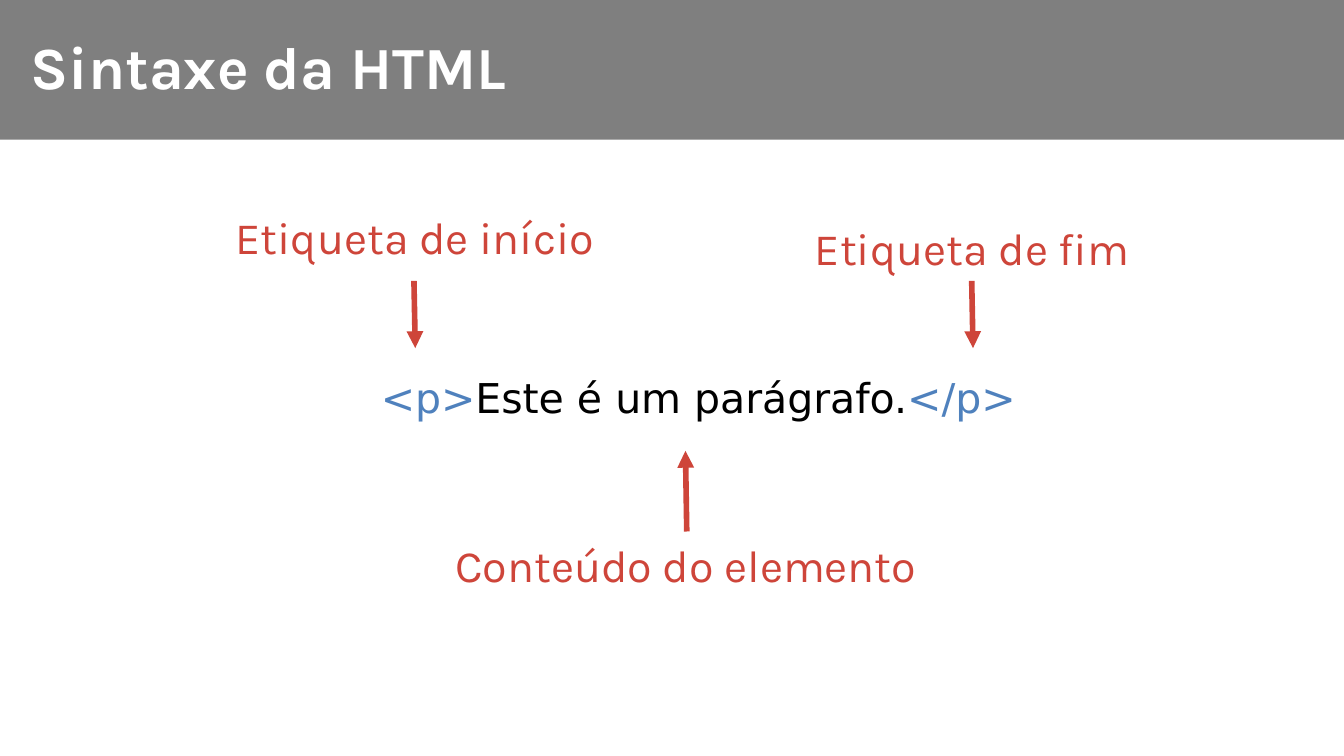
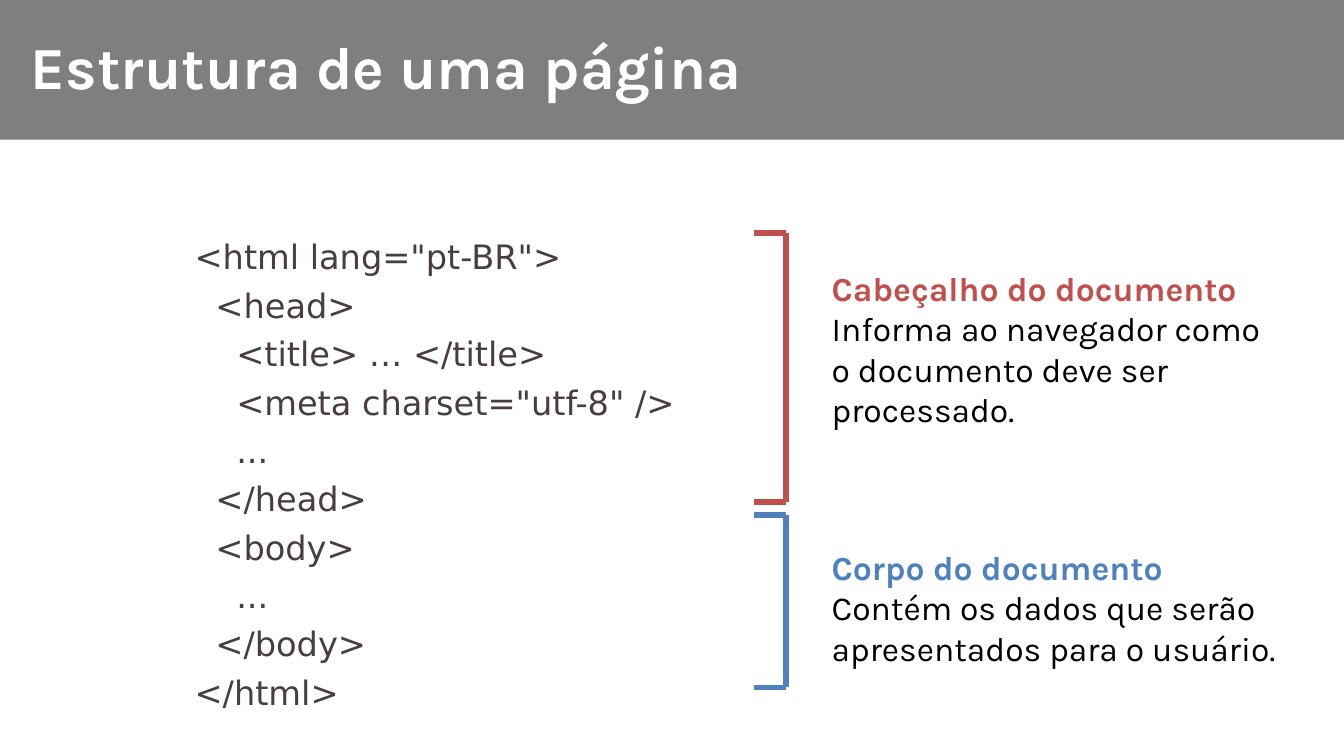
from dataclasses import dataclass

from lxml.etree import SubElement
from pptx import Presentation
from pptx.dml.color import RGBColor
from pptx.enum.shapes import MSO_CONNECTOR, MSO_SHAPE
from pptx.enum.text import MSO_ANCHOR, MSO_AUTO_SIZE, PP_ALIGN
from pptx.oxml.ns import qn
from pptx.util import Pt

# Shared scale, colours and fonts
PX = 4572  # 200 px to the inch
WIDTH, HEIGHT = 2000, 1125
WHITE = RGBColor(0xFF, 0xFF, 0xFF)
BLACK = RGBColor(0x00, 0x00, 0x00)
GRAY = RGBColor(0x7F, 0x7F, 0x7F)
RED = RGBColor(0xCE, 0x45, 0x3A)
BRICK = RGBColor(0xC0, 0x50, 0x4D)
BLUE = RGBColor(0x4F, 0x81, 0xBD)
BROWN = RGBColor(0x48, 0x3E, 0x41)
SANS = "Karla"
CODE = "DejaVu Sans"


@dataclass(frozen=True)
class Box:
    left: int
    top: int
    width: int
    height: int

    def scaled(self) -> tuple:
        return tuple(n * PX for n in (self.left, self.top, self.width, self.height))


@dataclass(frozen=True)
class Label:
    text: str
    box: Box
    start: tuple
    end: tuple
    joined: bool = False


@dataclass(frozen=True)
class Part:
    title: str
    text: str
    color: RGBColor
    top: int
    bottom: int
    box: Box


LABELS = (
    Label("Etiqueta de início", Box(331, 302, 574, 100), (616, 418), (618, 518)),
    Label("Etiqueta de fim", Box(1193, 318, 510, 100), (1446, 418), (1448, 518)),
    Label("Conteúdo do elemento", Box(658, 791, 728, 100), (1022, 791), (1020, 671), True),
)
PARTS = (
    Part("Cabeçalho do documento",
         "Informa ao navegador como o documento deve ser processado.",
         BRICK, 347, 747, Box(1218, 389, 712, 262)),
    Part("Corpo do documento",
         "Contém os dados que serão apresentados para o usuário.",
         BLUE, 766, 1023, Box(1218, 804, 712, 202)),
)
# Depth and text of each line of code
LINES = (
    (0, '<html lang="pt-BR">'),
    (1, "<head>"),
    (2, "<title> … </title>"),
    (2, '<meta charset="utf-8" />'),
    (2, "..."),
    (1, "</head>"),
    (1, "<body>"),
    (2, "..."),
    (1, "</body>"),
    (0, "</html>"),
)
MARGIN, STEP = 60, 31
SPINE, TIP = 1170, 1122


# Drawing tools
def style(font, size: int, name: str, color: RGBColor | None = None, bold: bool = False) -> None:
    font.size, font.name, font.bold = Pt(size), name, bold
    if color is not None:
        font.color.rgb = color


def add_text(shapes, box: Box, wrap: bool = True, grow: bool = False):
    shape = shapes.add_textbox(*box.scaled())
    shape.text_frame.word_wrap = wrap
    shape.text_frame.auto_size = MSO_AUTO_SIZE.SHAPE_TO_FIT_TEXT if grow else MSO_AUTO_SIZE.NONE
    return shape


def add_line(shapes, start: tuple, end: tuple, color: RGBColor, arrow: bool = False):
    ends = [n * PX for n in (*start, *end)]
    line = shapes.add_connector(MSO_CONNECTOR.STRAIGHT, *ends)
    line.line.color.rgb = color
    line.line.width = Pt(3)
    if arrow:
        SubElement(line.line._get_or_add_ln(), qn("a:tailEnd"), type="triangle")
    SubElement(line._element.spPr, qn("a:effectLst"))
    return line


def add_page(deck, title: str):
    shapes = deck.slides.add_slide(deck.slide_layouts[6]).shapes
    band = shapes.add_shape(MSO_SHAPE.RECTANGLE, *Box(0, 0, WIDTH, 208).scaled())
    band.shadow.inherit = False
    band.fill.solid()
    band.fill.fore_color.rgb = GRAY
    band.line.fill.background()
    frame = add_text(shapes, Box(26, 3, 1946, 188)).text_frame
    frame.vertical_anchor = MSO_ANCHOR.MIDDLE
    para = frame.paragraphs[0]
    para.text = title
    style(para.font, 32, SANS, WHITE, True)
    return shapes


def add_label(shapes, label: Label) -> None:
    group = shapes.add_group_shape().shapes
    shape = add_text(group, label.box, wrap=False, grow=True)
    para = shape.text_frame.paragraphs[0]
    para.text = label.text
    style(para.font, 24, SANS, RED)
    arrow = add_line(group, label.start, label.end, RED, arrow=True)
    if label.joined:
        arrow.begin_connect(shape, 0)


def add_part(shapes, part: Part) -> None:
    # Bracket: spine and two arms
    add_line(shapes, (SPINE, part.top), (SPINE, part.bottom), part.color)
    for y in (part.top, part.bottom):
        add_line(shapes, (SPINE, y), (TIP, y), part.color)
    frame = add_text(shapes, part.box, grow=True).text_frame
    head, body = frame.paragraphs[0], frame.add_paragraph()
    head.text, body.text = part.title, part.text
    style(head.font, 18, SANS, part.color, True)
    style(body.font, 18, SANS, BLACK)


# Slides
def draw_syntax(deck) -> None:
    shapes = add_page(deck, "Sintaxe da HTML")
    para = add_text(shapes, Box(78, 544, 1922, 206)).text_frame.paragraphs[0]
    para.alignment = PP_ALIGN.CENTER
    para.space_before = Pt(2)
    style(para.font, 22, CODE)
    for text, color in (("<p>", BLUE), ("Este é um parágrafo.", BLACK), ("</p>", BLUE)):
        run = para.add_run()
        run.text = text
        run.font.color.rgb = color
    for label in LABELS:
        add_label(shapes, label)


def draw_layout(deck) -> None:
    shapes = add_page(deck, "Estrutura de uma página")
    frame = add_text(shapes, Box(210, 330, 1000, 740), grow=True).text_frame
    for i, (depth, text) in enumerate(LINES):
        para = frame.add_paragraph() if i else frame.paragraphs[0]
        para.text = text
        para.line_spacing = 1.2
        style(para.font, 18, CODE, BROWN)
        props = para._p.get_or_add_pPr()
        props.set("marL", str((MARGIN + depth * STEP) * PX))
        props.set("indent", "0")
    for part in PARTS:
        add_part(shapes, part)


def main() -> None:
    deck = Presentation()
    deck.slide_width, deck.slide_height = WIDTH * PX, HEIGHT * PX
    draw_syntax(deck)
    draw_layout(deck)
    deck.save("out.pptx")


if __name__ == "__main__":
    main()
